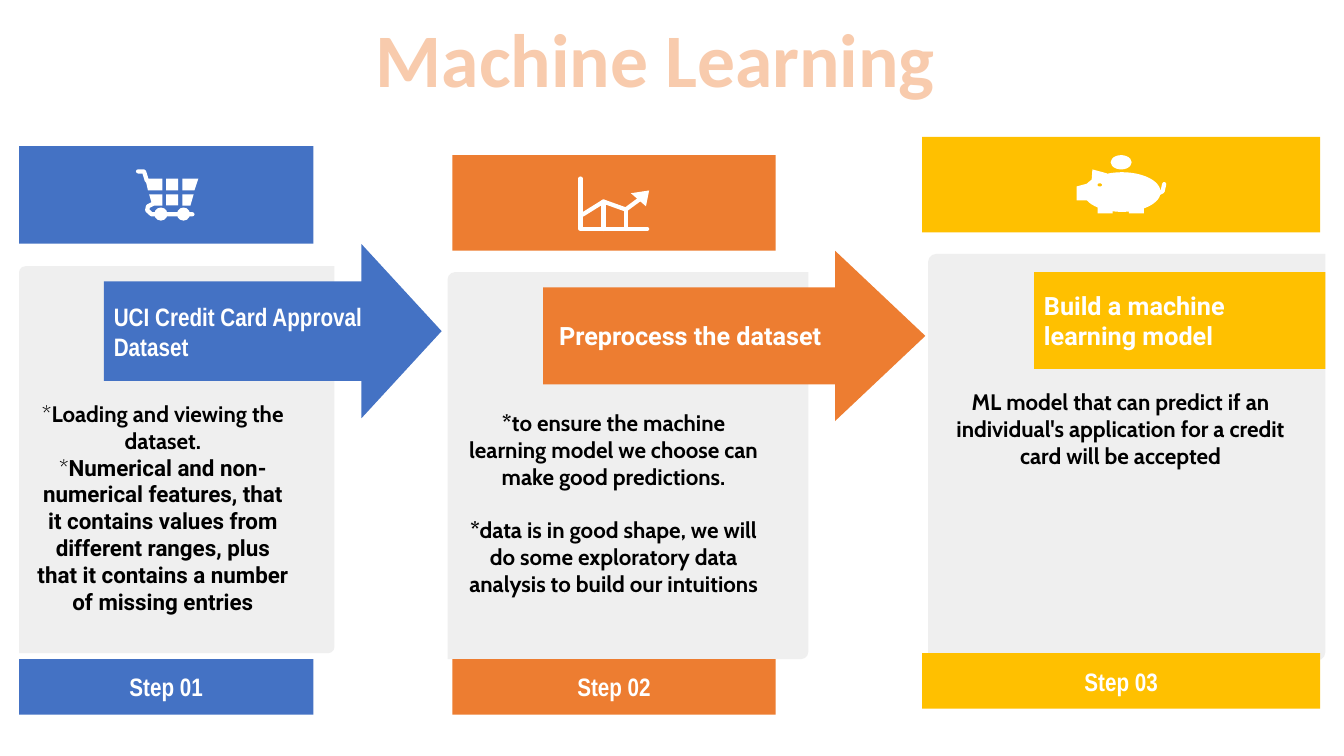
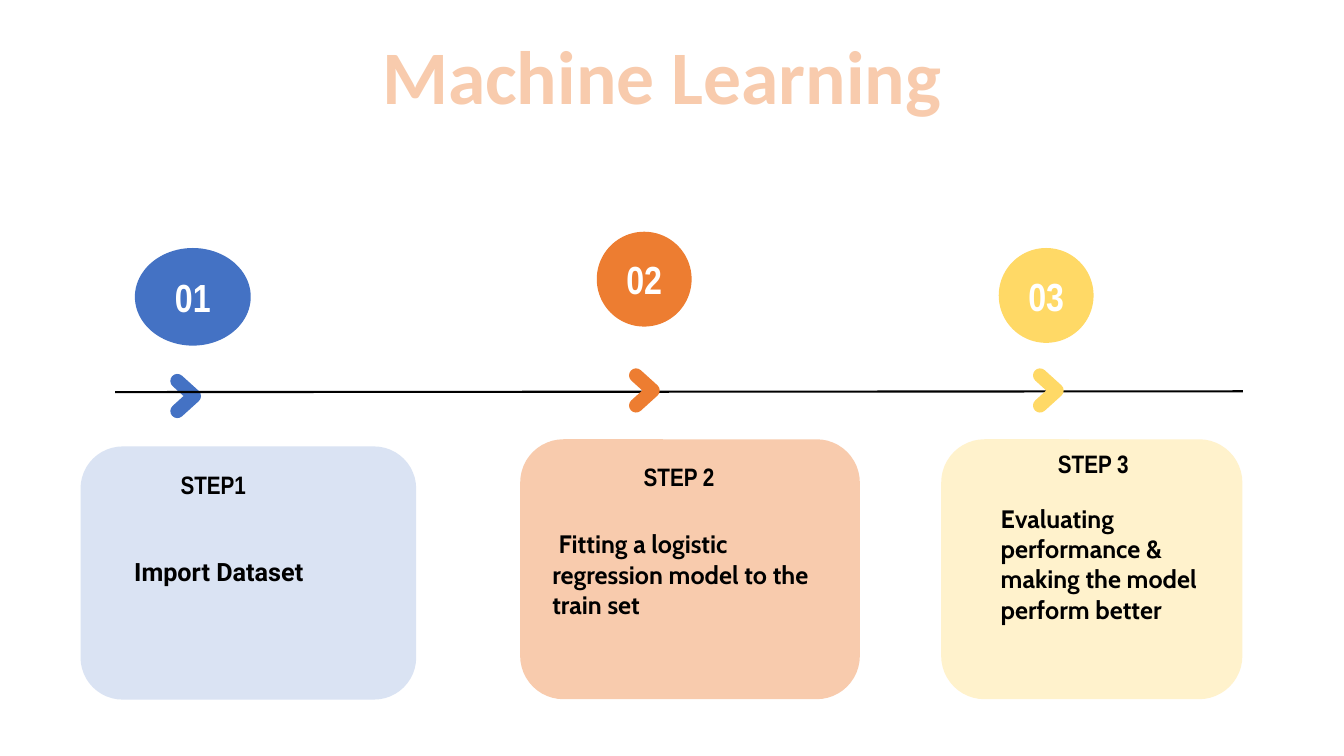
from lxml import etree
from pptx import Presentation, util as u
from pptx.dml.color import RGBColor
from pptx.enum import shapes, text
from pptx.oxml.ns import qn

HUES = {
    "blue": "4472C4", "orange": "ED7D31", "amber": "FFC000", "gold": "FFD966",
    "sky": "DAE3F3", "peach": "F8CBAD", "cream": "FFF2CC",
    "panel": "EFEFEF", "white": "FFFFFF", "black": "000000",
}
KIND = shapes.MSO_SHAPE
MID, TOP = text.MSO_ANCHOR.MIDDLE, text.MSO_ANCHOR.TOP
LEFT, CENTER = text.PP_ALIGN.LEFT, text.PP_ALIGN.CENTER
PAD = 0.25


def draw(page, kind, at, hue, width=0):
    """Add a preset in a box, or (kind None) an outline through points.

    An outline with a width is an open stroke; otherwise it is filled.
    """
    if kind is None:
        pts = [(u.Cm(x), u.Cm(y)) for x, y in at]
        form = page.shapes.build_freeform(*pts[0])
        form.add_line_segments(pts[1:], close=not width)
        item = form.convert_to_shape()
    else:
        item = page.shapes.add_shape(kind, *map(u.Cm, at))
    item.shadow.inherit = False
    color = RGBColor.from_string(HUES[hue])
    if width:
        item.fill.background()
        item.line.color.rgb = color
        item.line.width = u.Pt(width)
        edge = item.line._get_or_add_ln()
        edge.set("cap", "rnd")
        etree.SubElement(edge, qn("a:round"))
    else:
        item.fill.solid()
        item.fill.fore_color.rgb = color
        item.line.fill.background()
    return item


def write(item, lines, face, size, hue="black", side=CENTER, anchor=MID,
          bold=True, gap=0):
    """Fill a shape or text box with evenly styled paragraphs."""
    frame = item.text_frame
    frame.word_wrap = True
    frame.vertical_anchor = anchor
    frame.margin_left = frame.margin_right = u.Cm(PAD)
    frame.margin_top = frame.margin_bottom = u.Cm(PAD)
    frame.text = "\n".join(lines)
    for i, par in enumerate(frame.paragraphs):
        par.alignment = side
        if i and gap:
            par.space_before = u.Pt(gap)
        for run in par.runs:
            run.font.name, run.font.size = face, u.Pt(size)
            run.font.bold = bold
            run.font.color.rgb = RGBColor.from_string(HUES[hue])
    return frame


deck = Presentation()
deck.slide_width, deck.slide_height = u.Cm(33.87), u.Cm(19.05)

# Both slides carry the same title
pages = []
for left, top in ((5.89, 0.18), (6.05, 0.61)):
    page = deck.slides.add_slide(deck.slide_layouts[6])
    box = page.shapes.add_textbox(*map(u.Cm, (left, top, 21.26, 2.57)))
    frame = write(box, ["Machine Learning"], "Calibri", 54, "peach", anchor=TOP)
    frame.margin_top = frame.margin_bottom = u.Cm(0.13)
    pages.append(page)
flow, plan = pages

# Slide 1: hue, panel, band, banner, banner text and font, note, foot
steps = [
    ("blue", (0.48, 6.71, 7.95, 9.75), (0.48, 3.68, 7.42, 2.46),
     (2.62, 6.15, 8.51, 4.39), "UCI Credit Card Approval Dataset",
     "Arial Narrow", (0.61, 9.83, 6.99, 4.9), ["*", "*"], 16.61),
    ("orange", (11.28, 6.86, 9.09, 9.75), (11.4, 3.91, 8.15, 2.41),
     (13.69, 6.32, 9.63, 4.29), "Preprocess the dataset",
     "Roboto", (11.53, 10.06, 7.87, 3.63),
     ["*to ensure the machine learning model we choose can make good "
      "predictions.",
      "*data is in good shape, we will do some exploratory data analysis "
      "to build our intuitions"], 16.61),
    ("amber", (23.39, 6.4, 10.01, 10.24), (23.24, 3.45, 10.03, 2.41),
     (26.06, 6.86, 7.34, 2.44), "Build a machine learning model",
     "Roboto", (23.39, 9.53, 9.7, 3.63),
     ["ML model that can predict if an individual's application for a "
      "credit card will be accepted"], 16.46),
]
heads = {"blue": 0.46, "orange": 0.53}  # arrowhead length over height
notes = []
for n, (hue, panel, band, flag, name, face, spot, lines, foot) in enumerate(steps, 1):
    draw(flow, KIND.ROUND_2_DIAG_RECTANGLE, panel, "panel").adjustments[0] = 0.02
    draw(flow, KIND.RECTANGLE, band, hue)
    box = flow.shapes.add_textbox(*map(u.Cm, spot))
    gap = 19.2 if hue == "orange" else 0
    notes.append(write(box, lines, "Cabin", 16, anchor=TOP,
                       bold=hue != "blue", gap=gap))
    kind = KIND.RIGHT_ARROW if hue in heads else KIND.RECTANGLE
    item = draw(flow, kind, flag, hue)
    if hue in heads:
        item.adjustments[0], item.adjustments[1] = 0.57, heads[hue]
    frame = write(item, [name], face, 18, "white", LEFT)
    if hue == "orange":
        frame.margin_left = u.Cm(0.4)
    item = draw(flow, KIND.RECTANGLE, (band[0], foot, band[2], 1.4), hue)
    write(item, [f"Step {n:02}"], "Arial Narrow", 18, "white")

# Bold wording after the light asterisks of step 1
tails = [
    ("Loading and viewing the dataset.", "Cabin"),
    ("Numerical and non-numerical features, that it contains values from "
     "different ranges, plus that it contains a number of missing entries",
     "Roboto"),
]
for par, (words, face) in zip(notes[0].paragraphs, tails):
    run = par.add_run()
    run.text = words
    run.font.name, run.font.size, run.font.bold = face, u.Pt(16), True
    run.font.color.rgb = RGBColor.from_string(HUES["black"])

# Icons: filled outlines
for pts in (
    # cart basket
    [(3.66, 4.5), (4.09, 4.5), (4.09, 4.8), (3.73, 4.8)],
    [(3.76, 4.9), (4.09, 4.9), (4.09, 5.18), (3.84, 5.18)],
    [(4.6, 4.5), (5, 4.5), (4.9, 4.8), (4.6, 4.8)],
    [(4.6, 4.9), (4.88, 4.9), (4.8, 5.18), (4.6, 5.18)],
    # chart arrowhead
    [(15.9, 4.87), (16.36, 4.8), (16.28, 5.2)],
    # pig snout and ear
    [(27.13, 4.7), (27.5, 4.6), (27.5, 5.05), (27.13, 5.05)],
    [(27.53, 4.27), (27.9, 4.37), (27.5, 4.7)],
):
    draw(flow, None, pts, "white")

# Icons: strokes
for pts in (
    # cart handle and base
    [(3.48, 4.32), (3.63, 4.32), (3.7, 4.55)],
    [(3.85, 5.14), (3.73, 5.2), (3.71, 5.3), (3.82, 5.4), (4.85, 5.4)],
    # chart axes, trend and bars
    [(14.63, 4.5), (14.63, 5.77), (16.31, 5.77)],
    [(14.68, 5.41), (15.21, 5.08), (15.77, 5.28), (16.15, 5)],
    [(15.21, 5.08), (15.21, 5.77)],
    [(15.77, 5.28), (15.77, 5.77)],
    # pig tail
    [(29.2, 4.87), (29.3, 4.82), (29.34, 4.64)],
):
    draw(flow, None, pts, "white", 3)

# Icons: cart squares and wheels, then coin, body, legs and eye of the pig
for kind, at, hue in (
    (KIND.RECTANGLE, (4.19, 4.5, 0.3, 0.3), "white"),
    (KIND.RECTANGLE, (4.19, 4.9, 0.3, 0.28), "white"),
    (KIND.OVAL, (3.89, 5.23, 0.33, 0.33), "white"),
    (KIND.OVAL, (4.46, 5.23, 0.33, 0.33), "white"),
    (KIND.OVAL, (27.99, 3.91, 0.53, 0.36), "white"),
    (KIND.OVAL, (27.3, 4.34, 1.95, 1), "white"),
    (KIND.RECTANGLE, (27.66, 4.95, 0.38, 0.43), "white"),
    (KIND.RECTANGLE, (28.45, 4.95, 0.38, 0.43), "white"),
    (KIND.OVAL, (27.66, 4.62, 0.11, 0.08), "amber"),
):
    draw(flow, kind, at, hue)

# Slide 2: hue, tint, card, chevron, heading, note, number circle
stops = [
    ("blue", "sky", (2.03, 11.25, 8.46, 6.38), (4.47, 9.98), "STEP1",
     (2.9, 11.86, 4.95, 0.69), ["Import Dataset"], "Roboto", CENTER,
     (3.05, 13.26, 4.93, 2.29), (3.4, 6.25, 2.92, 2.46)),
    ("orange", "peach", (13.11, 11.07, 8.56, 6.55), (16.03, 9.84), "STEP 2",
     (15.16, 11.68, 3.91, 0.66),
     ["Fitting a logistic regression model to the train set"], "Cabin", LEFT,
     (13.67, 12.19, 7.67, 4.55), (15.04, 5.84, 2.39, 2.39)),
    ("gold", "cream", (23.72, 11.07, 7.59, 6.55), (26.21, 9.84), "STEP 3",
     (25.6, 11.35, 3.91, 0.66),
     ["Evaluating performance &", "making the model perform better"],
     "Cabin", LEFT, (24.97, 12.47, 6.35, 4.24), (25.17, 6.25, 2.39, 2.39)),
]
for n, (hue, tint, card, tip, name, top, lines, face, side, spot, disc) in enumerate(stops, 1):
    draw(plan, KIND.ROUNDED_RECTANGLE, card, tint)
    x, y = tip
    draw(plan, None, [(x, y - 0.38), (x + 0.42, y), (x, y + 0.38)], hue, 10)
    box = plan.shapes.add_textbox(*map(u.Cm, spot))
    frame = write(box, lines, face, 18, side=side)
    if hue == "orange":
        frame.paragraphs[0]._p.get_or_add_pPr().set("indent", str(u.Cm(0.16)))
    if hue == "gold":
        frame.margin_bottom = u.Cm(1.02)
    box = plan.shapes.add_textbox(*map(u.Cm, top))
    write(box, [name], "Arial Narrow", 18)
    item = draw(plan, KIND.OVAL, disc, hue)
    write(item, [f"{n:02}"], "Arial Narrow", 28, "white")
    if n == 1:
        # The time line runs over the first chevron, under the others
        line = plan.shapes.add_connector(
            shapes.MSO_CONNECTOR.STRAIGHT, *map(u.Cm, (2.9, 9.88, 31.32, 9.86)))
        line.line.color.rgb = RGBColor.from_string(HUES["black"])
        line.line.width = u.Pt(1.5)
        etree.SubElement(line._element.spPr, qn("a:effectLst"))

deck.save("out.pptx")
